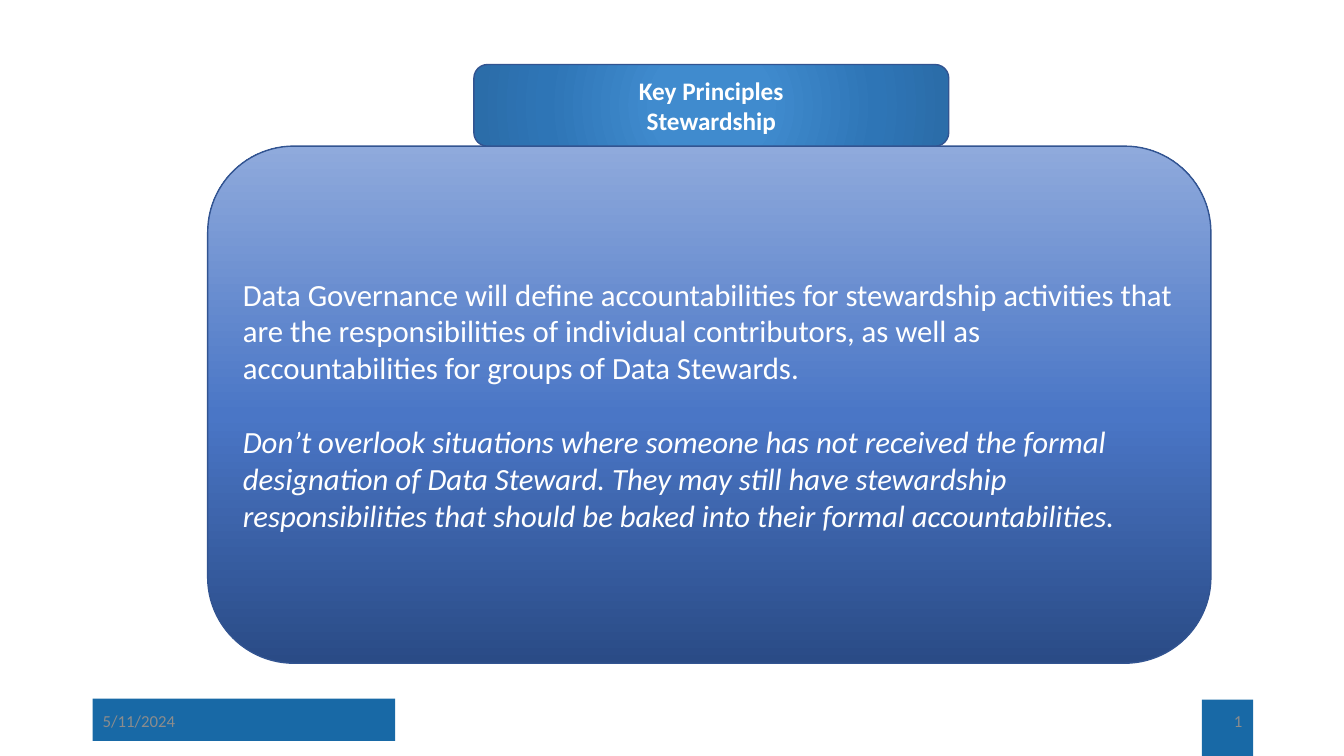
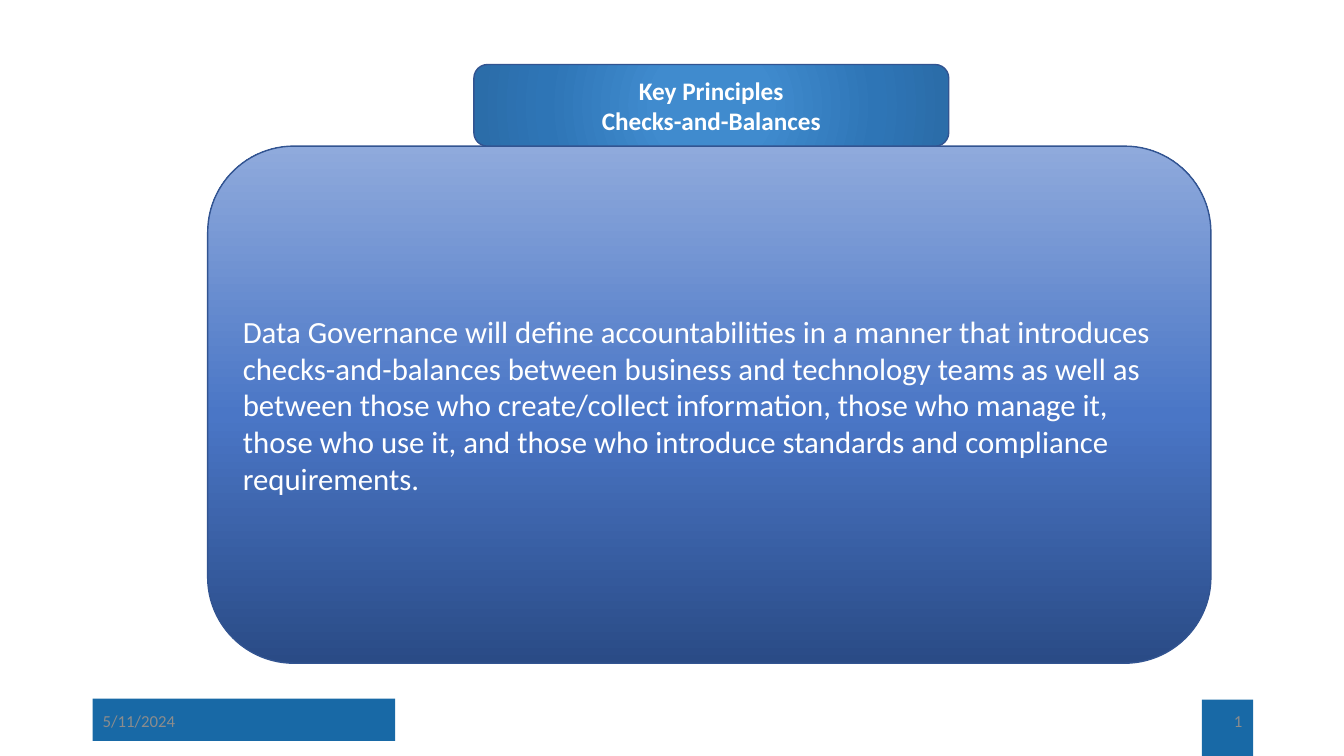
from dataclasses import dataclass

from lxml.etree import SubElement
from pptx import Presentation
from pptx.dml.color import RGBColor
from pptx.enum.shapes import MSO_SHAPE
from pptx.enum.text import MSO_ANCHOR, PP_ALIGN
from pptx.oxml.ns import qn
from pptx.util import Inches, Pt


@dataclass(frozen=True)
class Theme:
    font: str = "Calibri"
    white: str = "FFFFFF"
    band: str = "1869A6"
    edge: str = "325491"
    muted: str = "8C8C8C"
    panel: tuple = ((0, "2A4B86"), (48, "4A76C6"), (100, "8FAADC"))
    title: tuple = ((0, "408BCE"), (23, "408BCE"), (69, "2E75B6"), (97, "2B6DA9"))
    head: int = 18
    body: int = 22
    foot: int = 12
    gap: float = 26.5


class Deck:
    def __init__(self, theme):
        self.theme = theme
        self.prs = Presentation()
        self.prs.slide_width = Inches(13.33)
        self.prs.slide_height = Inches(7.5)
        self.slide = None

    def add(self):
        self.slide = self.prs.slides.add_slide(self.prs.slide_layouts[6])

    def shape(self, kind, box):
        shape = self.slide.shapes.add_shape(kind, *map(Inches, box))
        shape.shadow.inherit = False
        return shape

    def band(self, box):
        band = self.shape(MSO_SHAPE.RECTANGLE, box)
        band.fill.solid()
        band.fill.fore_color.rgb = RGBColor.from_string(self.theme.band)
        band.line.fill.background()

    def text(self, shape, lines, size, color, align=PP_ALIGN.LEFT, bold=False, gap=0):
        """Fill the shape with paragraphs; each line is a text and an italic flag."""
        frame = shape.text_frame
        frame.word_wrap = True
        frame.vertical_anchor = MSO_ANCHOR.MIDDLE
        for i, (words, italic) in enumerate(lines):
            para = frame.add_paragraph() if i else frame.paragraphs[0]
            para.text = words
            para.alignment = align
            if i and gap:
                para.space_before = Pt(gap)
            font = para.font
            font.name = self.theme.font
            font.size = Pt(size)
            font.bold = bold
            font.italic = italic
            font.color.rgb = RGBColor.from_string(color)

    def label(self, box, words, align):
        label = self.slide.shapes.add_textbox(*map(Inches, box))
        self.text(label, [(words, False)], self.theme.foot, self.theme.muted, align)

    def round(self, box, stops, radial=False):
        """Add a rounded box with a vertical or a radial gradient."""
        shape = self.shape(MSO_SHAPE.ROUNDED_RECTANGLE, box)
        shape.line.color.rgb = RGBColor.from_string(self.theme.edge)
        shape.line.width = Pt(1)
        shape.fill.gradient()
        grad = shape.element.spPr.find(qn("a:gradFill"))
        for child in list(grad):
            grad.remove(child)
        steps = SubElement(grad, qn("a:gsLst"))
        for pos, color in stops:
            stop = SubElement(steps, qn("a:gs"), pos=str(pos * 1000))
            SubElement(stop, qn("a:srgbClr"), val=color)
        if radial:
            way = SubElement(grad, qn("a:path"), {"path": "circle"})
            SubElement(way, qn("a:fillToRect"), dict.fromkeys("ltrb", "50000"))
        else:
            SubElement(grad, qn("a:lin"), ang=str(270 * 60000), scaled="0")
        return shape

    def footer(self, date, number):
        self.band((0.92, 6.93, 3, 0.42))
        self.band((11.92, 6.94, 0.51, 0.56))
        self.label((0.92, 6.95, 3, 0.4), date, PP_ALIGN.LEFT)
        self.label((9.42, 6.95, 3, 0.4), number, PP_ALIGN.RIGHT)

    def panel(self, lines):
        look = self.theme
        panel = self.round((2.06, 1.45, 9.95, 5.13), look.panel)
        self.text(panel, lines, look.body, look.white, gap=look.gap)

    def title(self, name):
        look = self.theme
        title = self.round((4.7, 0.64, 4.71, 0.81), look.title, radial=True)
        lines = [("Key Principles", False), (name, False)]
        self.text(title, lines, look.head, look.white, PP_ALIGN.CENTER, bold=True)


TOPICS = [
    ("Stewardship", [
        ("Data Governance will define accountabilities for stewardship activities "
         "that are the responsibilities of individual contributors, as well as "
         "accountabilities for groups of Data Stewards.", False),
        ("Don’t overlook situations where someone has not received the formal "
         "designation of Data Steward. They may still have stewardship "
         "responsibilities that should be baked into their formal "
         "accountabilities.", True),
    ]),
    ("Checks-and-Balances", [
        ("Data Governance will define accountabilities in a manner that introduces "
         "checks-and-balances between business and technology teams as well as "
         "between those who create/collect information, those who manage it, "
         "those who use it, and those who introduce standards and compliance "
         "requirements.", False),
    ]),
]


def main():
    deck = Deck(Theme())
    for name, lines in TOPICS:
        deck.add()
        deck.footer("5/11/2024", "1")
        deck.panel(lines)
        deck.title(name)
    deck.prs.save("out.pptx")


if __name__ == "__main__":
    main()
